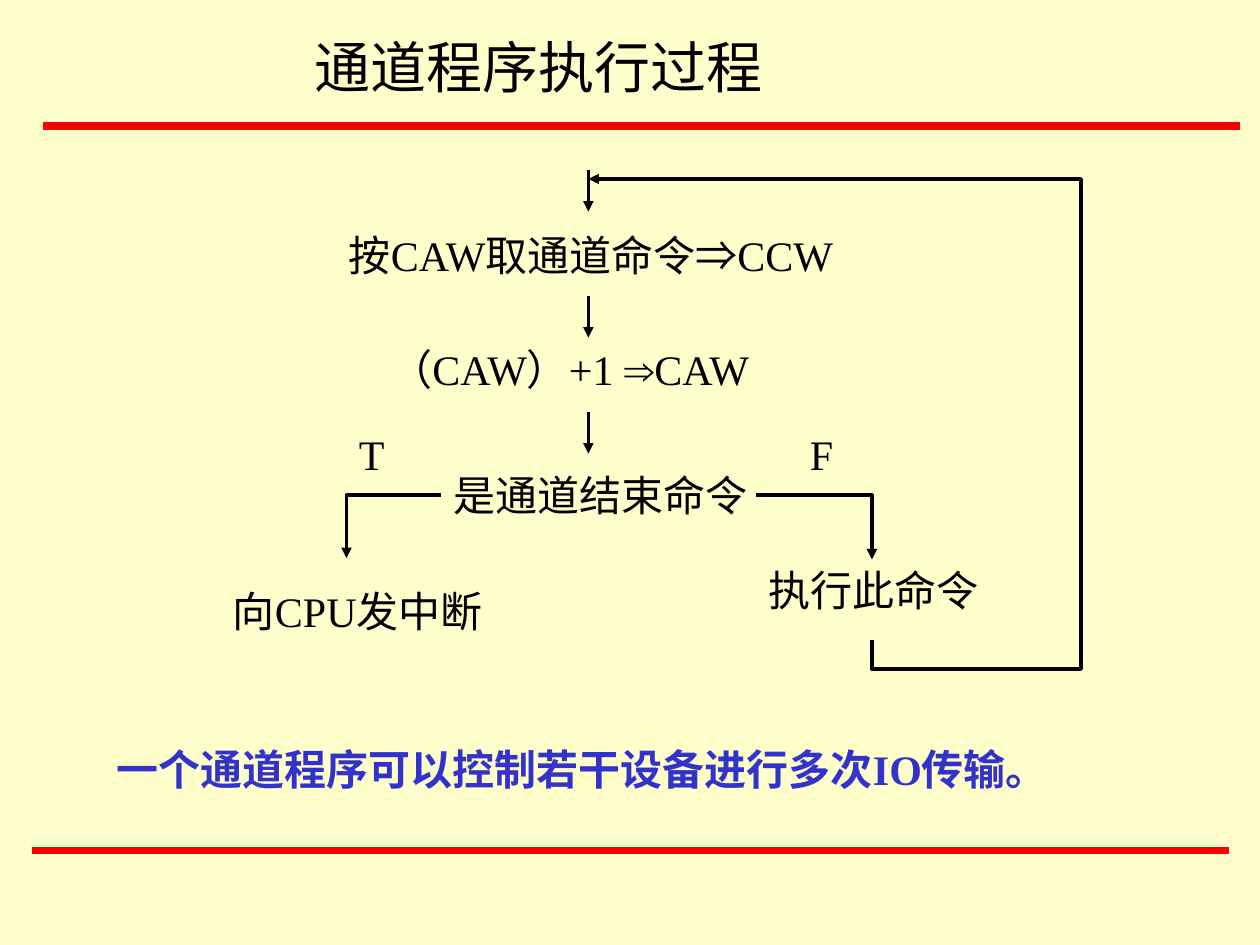
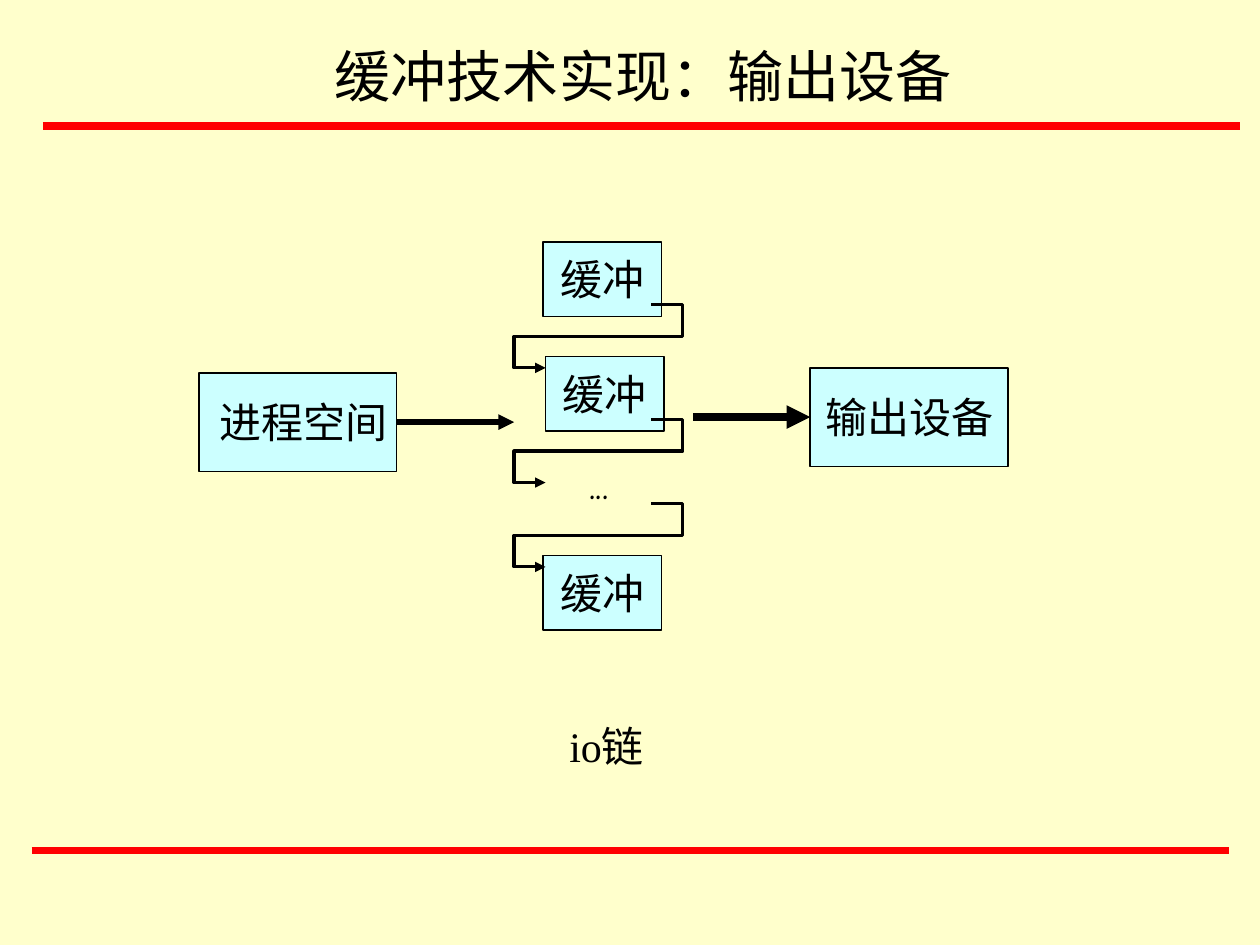
from dataclasses import dataclass

from lxml.etree import SubElement
from pptx import Presentation
from pptx.dml.color import RGBColor
from pptx.enum.shapes import MSO_CONNECTOR, MSO_SHAPE
from pptx.enum.text import MSO_ANCHOR, MSO_AUTO_SIZE, PP_ALIGN
from pptx.oxml.ns import qn
from pptx.shapes.autoshape import Shape
from pptx.shapes.connector import Connector
from pptx.slide import Slide
from pptx.text.text import Font
from pptx.util import Pt

PX = 9144  # 100 px to the inch
LEFT, RIGHT = 1, 3
BODY_FONT = "Times New Roman"
SYMBOL_FONT = "Arial"
IMPLIES = "⇒"
COLORS = {
    "background": "FFFFCC",
    "rule": "FF0000",
    "ink": "000000",
    "emphasis": "3333CC",
    "box": "CCFFFF",
}


@dataclass(frozen=True)
class Label:
    text: str
    left: int
    top: int
    width: int
    height: int = 50
    size: int = 24
    font: str = BODY_FONT
    color: str = "ink"
    bold: bool = False


@dataclass(frozen=True)
class Box:
    text: str
    left: int
    top: int
    width: int
    height: int
    left_inset: int = 10


@dataclass(frozen=True)
class Line:
    start: tuple[int, int]
    end: tuple[int, int]
    width: float
    color: str = "ink"
    arrow: bool = True


@dataclass(frozen=True)
class Path:
    points: list[tuple[int, int]]
    width: float = 2


RULES = [
    Line((34, 100), (984, 100), 4.5, "rule", arrow=False),
    Line((25, 675), (975, 675), 4.5, "rule", arrow=False),
]

FLOW_LABELS = [
    Label("按CAW取通道命令⇒CCW", 267, 177, 425),
    Label("（CAW）+1 ⇒CAW", 300, 268, 350),
    Label("是通道结束命令", 350, 368, 258),
    Label("执行此命令", 600, 443, 192),
    Label("T", 275, 335, 67),
    Label("F", 633, 335, 67),
    Label("向CPU发中断", 175, 460, 225, 90),
    Label("一个通道程序可以控制若干设备进行多次IO传输。", 83, 585, 825,
          color="emphasis", bold=True),
]
FLOW_X = 467
FLOW_ARROW_TOPS = (135, 235, 327)
FLOW_ARROW_LENGTH = 33
FLOW_PATHS = [
    Path([(600, 393), (692, 393), (692, 444)]),
    Path([(692, 508), (692, 531), (858, 531), (858, 142), (FLOW_X, 142)]),
    Path([(350, 393), (275, 393), (275, 443)]),
]

PROCESS_BOX = Box("进程空间", 158, 296, 157, 78, left_inset=18)
DEVICE_BOX = Box("输出设备", 643, 292, 157, 78)
BUFFER_BOXES = [
    Box("缓冲", left, top, 94, 59)
    for left, top in ((431, 192), (433, 283), (431, 441))
]
CHAIN_TOPS = (242, 333, 400)
CHAIN_STEP = 25


def color(name: str) -> RGBColor:
    return RGBColor.from_string(COLORS[name])


def style_font(font: Font, name: str, size: int, color_name: str = "ink",
               bold: bool = False) -> None:
    font.name = name
    font.size = Pt(size)
    font.bold = bold
    font.color.rgb = color(color_name)


def style_line(shape: Shape | Connector, width: float, color_name: str,
               arrow: bool) -> None:
    shape.line.width = Pt(width)
    shape.line.color.rgb = color(color_name)
    if arrow:
        outline = shape.element.spPr.find(qn("a:ln"))
        SubElement(outline, qn("a:tailEnd"), type="triangle")


def add_label(slide: Slide, label: Label) -> None:
    """Add a wrapped text box, with the implication sign in the symbol font."""
    shape = slide.shapes.add_textbox(
        label.left * PX, label.top * PX, label.width * PX, label.height * PX)
    text_frame = shape.text_frame
    text_frame.word_wrap = True
    text_frame.auto_size = MSO_AUTO_SIZE.SHAPE_TO_FIT_TEXT
    paragraph = text_frame.paragraphs[0]
    for part in label.text.partition(IMPLIES):
        if part:
            run = paragraph.add_run()
            run.text = part
            font_name = SYMBOL_FONT if part == IMPLIES else label.font
            style_font(run.font, font_name, label.size, label.color, label.bold)


def add_box(slide: Slide, box: Box) -> Shape:
    shape = slide.shapes.add_shape(
        MSO_SHAPE.RECTANGLE,
        box.left * PX, box.top * PX, box.width * PX, box.height * PX)
    shape.shadow.inherit = False
    shape.fill.solid()
    shape.fill.fore_color.rgb = color("box")
    style_line(shape, 0.75, "ink", arrow=False)
    text_frame = shape.text_frame
    text_frame.text = box.text
    text_frame.word_wrap = False
    text_frame.vertical_anchor = MSO_ANCHOR.MIDDLE
    text_frame.margin_left = box.left_inset * PX
    paragraph = text_frame.paragraphs[0]
    paragraph.alignment = PP_ALIGN.CENTER
    style_font(paragraph.runs[0].font, BODY_FONT, 24)
    return shape


def add_line(slide: Slide, line: Line) -> Connector:
    start_x, start_y = line.start
    end_x, end_y = line.end
    connector = slide.shapes.add_connector(
        MSO_CONNECTOR.STRAIGHT,
        start_x * PX, start_y * PX, end_x * PX, end_y * PX)
    style_line(connector, line.width, line.color, line.arrow)
    SubElement(connector.element.spPr, qn("a:effectLst"))
    return connector


def add_path(slide: Slide, path: Path) -> None:
    """Draw an open, unfilled polyline that ends in an arrowhead."""
    start_x, start_y = path.points[0]
    builder = slide.shapes.build_freeform(start_x, start_y, scale=PX)
    builder.add_line_segments(path.points[1:], close=False)
    shape = builder.convert_to_shape()
    shape.shadow.inherit = False
    shape.fill.background()
    style_line(shape, path.width, "ink", arrow=True)


def chain_path(top: int) -> Path:
    """Lead from the right of one buffer round to the left of the next."""
    middle, bottom = top + CHAIN_STEP, top + 2 * CHAIN_STEP
    return Path([(517, top), (542, top), (542, middle),
                 (408, middle), (408, bottom), (433, bottom)], 1.75)


def add_titled_slide(presentation: Presentation, title: Label) -> Slide:
    slide = presentation.slides.add_slide(presentation.slide_layouts[6])
    slide.background.fill.solid()
    slide.background.fill.fore_color.rgb = color("background")
    for rule in RULES:
        add_line(slide, rule)
    add_label(slide, title)
    return slide


def build_channel_slide(presentation: Presentation) -> None:
    title = Label("通道程序执行过程", 240, 21, 558, 64, size=32)
    slide = add_titled_slide(presentation, title)
    for label in FLOW_LABELS:
        add_label(slide, label)
    for top in FLOW_ARROW_TOPS:
        add_line(slide, Line((FLOW_X, top), (FLOW_X, top + FLOW_ARROW_LENGTH), 2))
    for path in FLOW_PATHS:
        add_path(slide, path)


def build_buffer_slide(presentation: Presentation) -> None:
    title = Label("缓冲技术实现：输出设备", 256, 28, 542, 64, size=32)
    slide = add_titled_slide(presentation, title)
    process = add_box(slide, PROCESS_BOX)
    device = add_box(slide, DEVICE_BOX)
    for box in BUFFER_BOXES:
        add_box(slide, box)

    to_buffers = add_line(slide, Line((315, 335), (408, 335), 3))
    to_buffers.begin_connect(process, RIGHT)
    to_device = add_line(slide, Line((550, 331), (643, 331), 4.5))
    to_device.end_connect(device, LEFT)

    for top in CHAIN_TOPS:
        add_path(slide, chain_path(top))
    add_label(slide, Label("...", 458, 358, 58, font="Comic Neue"))
    add_label(slide, Label("io链", 442, 567, 100))


def main() -> None:
    presentation = Presentation()
    presentation.slide_width = 1000 * PX
    presentation.slide_height = 750 * PX
    build_channel_slide(presentation)
    build_buffer_slide(presentation)
    presentation.save("out.pptx")


if __name__ == "__main__":
    main()
